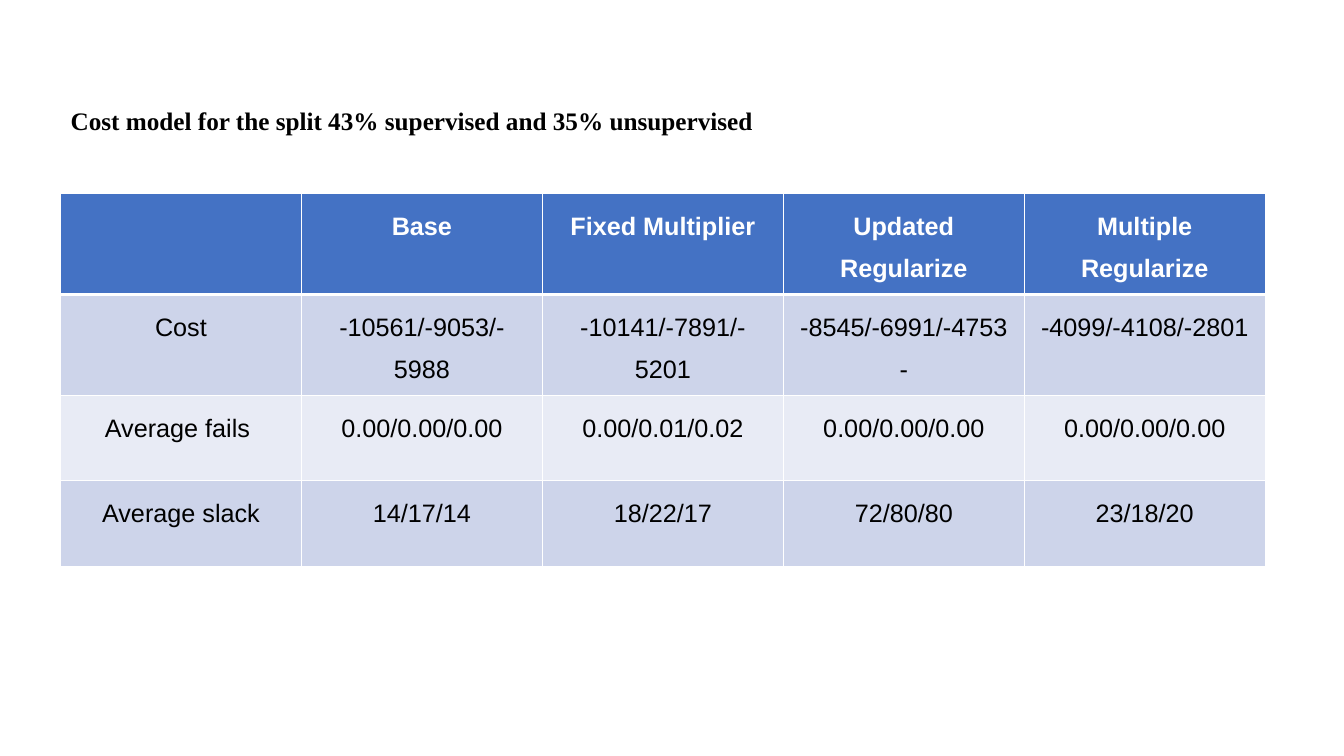
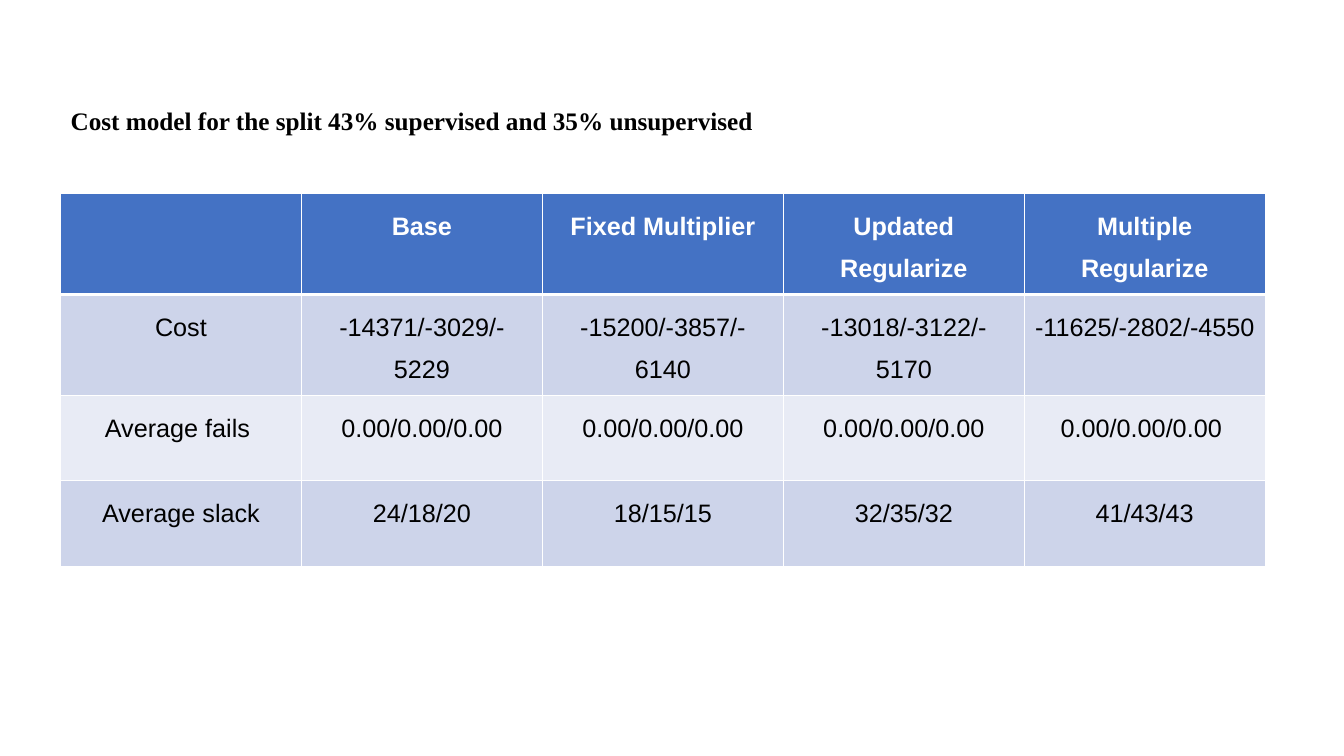
from lxml.etree import SubElement
from pptx import Presentation
from pptx.dml.color import RGBColor
from pptx.enum.text import MSO_ANCHOR, MSO_AUTO_SIZE, PP_ALIGN
from pptx.oxml.ns import qn
from pptx.util import Inches, Pt

WHITE = RGBColor(0xFF, 0xFF, 0xFF)
BLACK = RGBColor(0x00, 0x00, 0x00)
HEADER_BLUE = RGBColor(0x44, 0x72, 0xC4)
BAND_DARK = RGBColor(0xCD, 0xD4, 0xEA)
BAND_LIGHT = RGBColor(0xE8, 0xEB, 0xF5)

LEFT = Inches(0.6)
COLUMN_WIDTH = Inches(2.39)
ROW_HEIGHT = Inches(0.85)
TEXT_SIZE = Pt(18)

TITLE = "Cost model for the split 43% supervised and 35% unsupervised"
HEADER = ["", "Base", "Fixed Multiplier", "Updated Regularize", "Multiple Regularize"]
RESULTS = [
    [
        ["Cost", "-10561/-9053/-5988", "-10141/-7891/-5201", "-8545/-6991/-4753 -", "-4099/-4108/-2801"],
        ["Average fails ", "0.00/0.00/0.00", "0.00/0.01/0.02", "0.00/0.00/0.00", "0.00/0.00/0.00"],
        ["Average slack", "14/17/14", "18/22/17", "72/80/80", "23/18/20"],
    ],
    [
        ["Cost", "-14371/-3029/-5229", "-15200/-3857/-6140", "-13018/-3122/-5170", "-11625/-2802/-4550"],
        ["Average fails ", "0.00/0.00/0.00", "0.00/0.00/0.00", "0.00/0.00/0.00", "0.00/0.00/0.00 "],
        ["Average slack", "24/18/20", "18/15/15", "32/35/32", "41/43/43"],
    ],
]


def set_borders(cell, top, bottom):
    """Draw white cell borders; call before the fill, which must follow them in the XML."""
    properties = cell._tc.get_or_add_tcPr()
    for side, width in (("L", Pt(1)), ("R", Pt(1)), ("T", top), ("B", bottom)):
        line = SubElement(properties, qn(f"a:ln{side}"), w=str(width))
        fill = SubElement(line, qn("a:solidFill"))
        SubElement(fill, qn("a:srgbClr"), val=str(WHITE))


def format_text(paragraph, font_name, color, bold):
    for span in paragraph.runs:
        span.font.name = font_name
        span.font.size = TEXT_SIZE
        span.font.bold = bold
        span.font.color.rgb = color


deck = Presentation()
deck.slide_width = Inches(13.33)
deck.slide_height = Inches(7.5)
title_only = deck.slide_layouts.get_by_name("Title Only")

for results in RESULTS:
    page = deck.slides.add_slide(title_only)

    title = page.shapes.title
    title.left, title.top = LEFT, Inches(0.99)
    title.width, title.height = Inches(9.73), Inches(0.4)
    title.text_frame.text = TITLE
    title.text_frame.word_wrap = True
    title.text_frame.auto_size = MSO_AUTO_SIZE.SHAPE_TO_FIT_TEXT
    title.text_frame.vertical_anchor = MSO_ANCHOR.TOP
    title_line = title.text_frame.paragraphs[0]
    title_line.alignment = PP_ALIGN.LEFT
    format_text(title_line, "Times New Roman", BLACK, True)

    rows = [HEADER] + results
    table = page.shapes.add_table(
        len(rows), len(HEADER), LEFT, Inches(1.92),
        COLUMN_WIDTH * len(HEADER), ROW_HEIGHT * len(rows),
    ).table
    for column in table.columns:
        column.width = COLUMN_WIDTH

    for row_index, row in enumerate(rows):
        is_header = row_index == 0
        if is_header:
            background = HEADER_BLUE
        else:
            background = BAND_DARK if row_index % 2 else BAND_LIGHT
        for column_index, text in enumerate(row):
            cell = table.cell(row_index, column_index)
            set_borders(
                cell,
                top=Pt(3) if row_index == 1 else Pt(1),
                bottom=Pt(3) if is_header else Pt(1),
            )
            cell.fill.solid()
            cell.fill.fore_color.rgb = background
            if text:
                cell.text_frame.text = text
                paragraph = cell.text_frame.paragraphs[0]
                paragraph.alignment = PP_ALIGN.CENTER
                paragraph.line_spacing = 1.5
                format_text(paragraph, "Arial", WHITE if is_header else BLACK, is_header)

deck.save("out.pptx")
